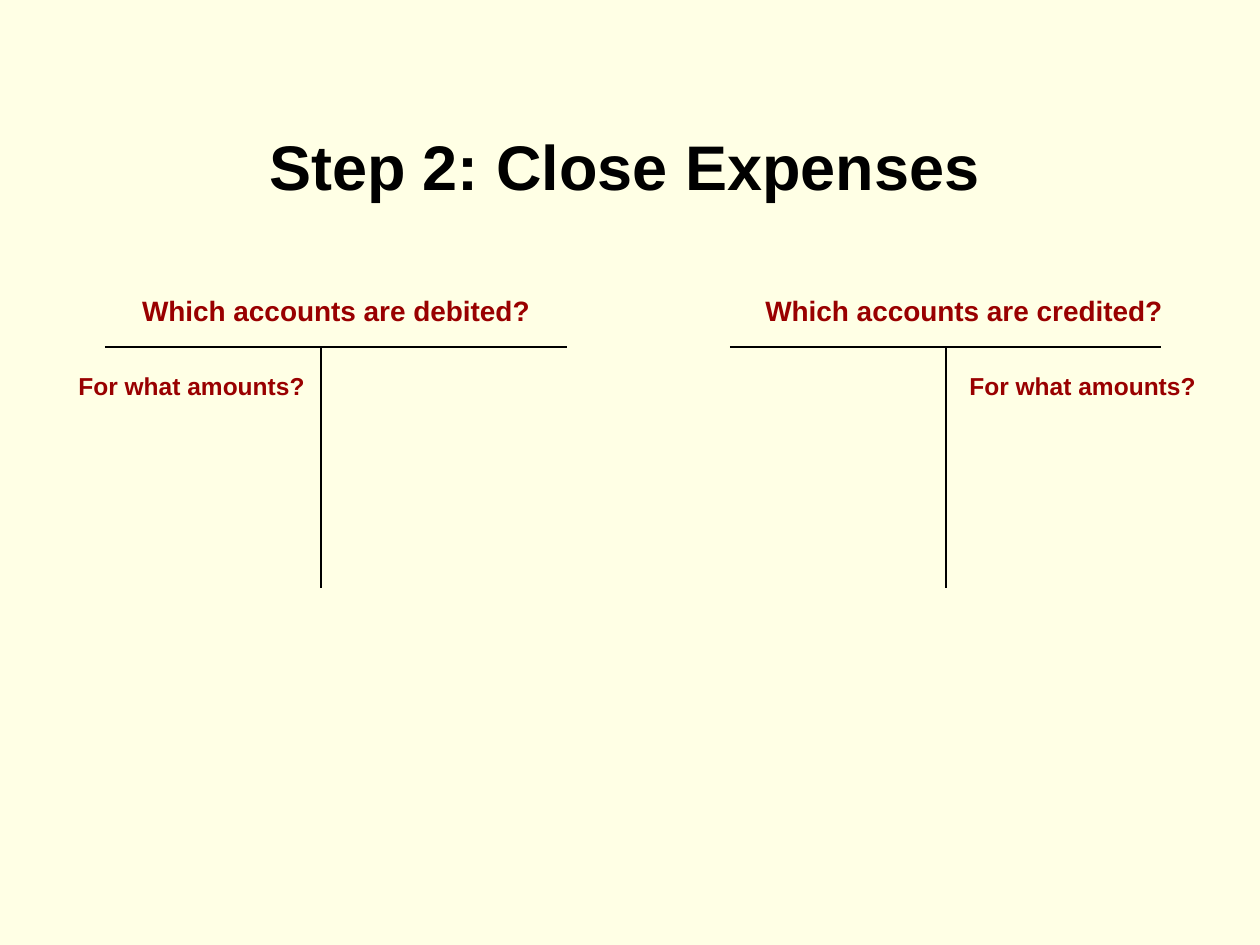
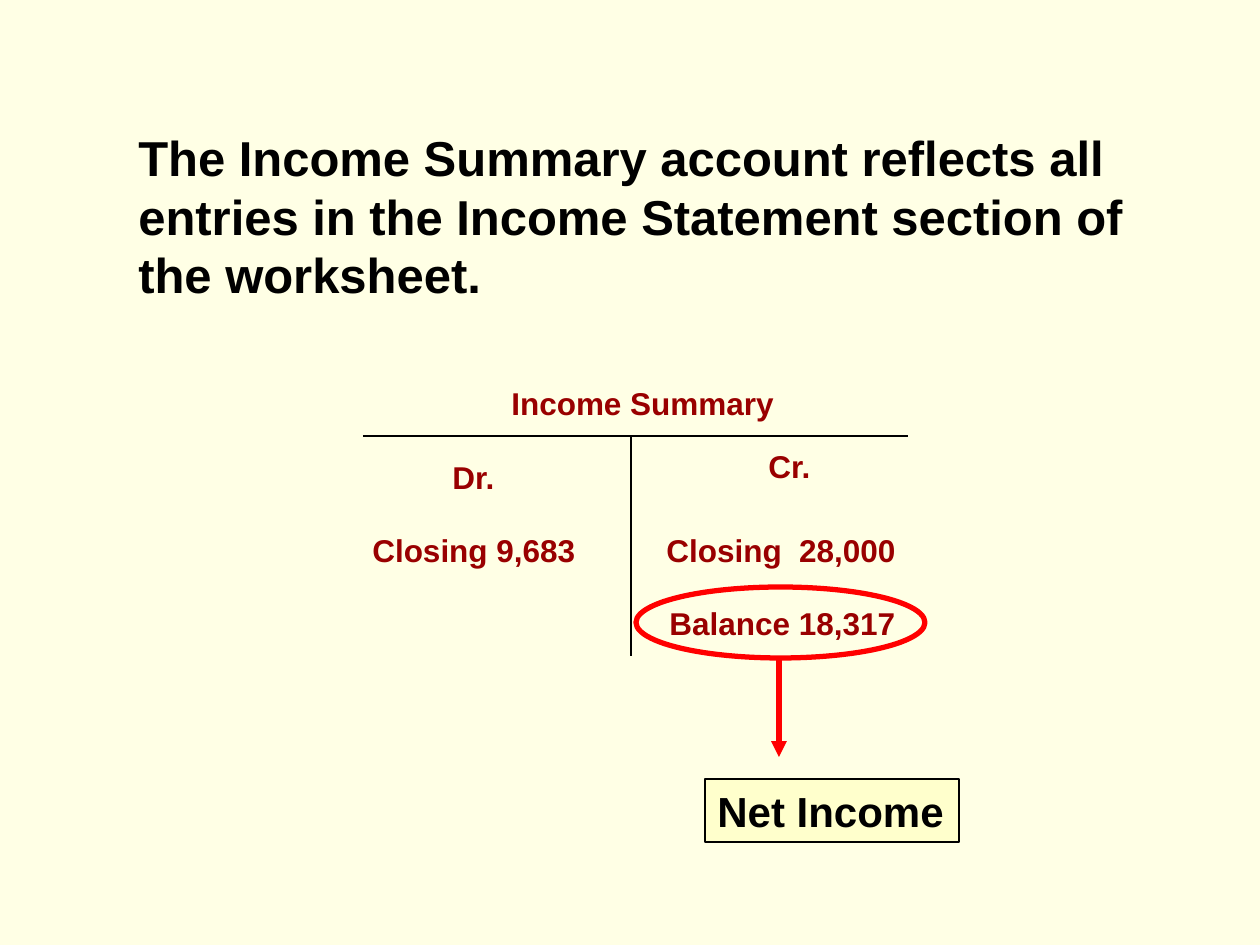
from lxml.etree import SubElement
from pptx import Presentation
from pptx.dml.color import RGBColor
from pptx.enum.shapes import MSO_CONNECTOR, MSO_SHAPE
from pptx.enum.text import MSO_ANCHOR, PP_ALIGN
from pptx.oxml.ns import qn
from pptx.util import Emu, Pt

CREAM = RGBColor(0xFF, 0xFF, 0xE5)
PALE_YELLOW = RGBColor(0xFF, 0xFF, 0xCC)
DARK_RED = RGBColor(0x99, 0x00, 0x00)
RED = RGBColor(0xFF, 0x00, 0x00)
BLACK = RGBColor(0x00, 0x00, 0x00)
PX = 914400 / 126


def write(box, words, size, color, align=PP_ALIGN.LEFT):
    """Put one bold paragraph at the top of a box."""
    frame = box.text_frame
    frame.word_wrap = True
    frame.vertical_anchor = MSO_ANCHOR.TOP
    para = frame.paragraphs[0]
    para.alignment = align
    span = para.add_run()
    span.text = words
    span.font.name = "Arial"
    span.font.size = Pt(size)
    span.font.bold = True
    span.font.color.rgb = color


def draw_line(page, x1, y1, x2, y2, color=BLACK, width=0.75):
    ends = [Emu(round(n * PX)) for n in (x1, y1, x2, y2)]
    line = page.shapes.add_connector(MSO_CONNECTOR.STRAIGHT, *ends)
    line.line.color.rgb = color
    line.line.width = Pt(width)
    SubElement(line._element.spPr, qn("a:effectLst"))
    return line


deck = Presentation()
deck.slide_width = Emu(round(1260 * PX))
deck.slide_height = Emu(round(945 * PX))
background = deck.slide_master.background.fill
background.solid()
background.fore_color.rgb = CREAM
closing_page, summary_page = [deck.slides.add_slide(deck.slide_layouts[6]) for _ in range(2)]

# T-accounts: page, left, right, stem, top, bottom
t_accounts = [
    (closing_page, 105, 567, 321, 347, 588),
    (closing_page, 730, 1161, 946, 347, 588),
    (summary_page, 363, 908, 631, 436, 656),
]
for page, left, right, stem, top, bottom in t_accounts:
    draw_line(page, left, top, right, top)
    draw_line(page, stem, top, stem, bottom)

# Text boxes: page, words, (left, top, width, height), size, color, alignment
statement = "The Income Summary account reflects all entries in the Income Statement section of the worksheet."
texts = [
    (closing_page, "Step 2: Close Expenses", (220, 121, 809, 88), 36, BLACK, PP_ALIGN.CENTER),
    (closing_page, "Which accounts are debited?", (105, 287, 462, 45), 16, DARK_RED, PP_ALIGN.CENTER),
    (closing_page, "Which accounts are credited?", (733, 287, 462, 45), 16, DARK_RED, PP_ALIGN.CENTER),
    (closing_page, "For what amounts?", (66, 365, 254, 43), 14, DARK_RED, PP_ALIGN.LEFT),
    (closing_page, "For what amounts?", (957, 365, 254, 43), 14, DARK_RED, PP_ALIGN.LEFT),
    (summary_page, statement, (126, 121, 1071, 158), 28, BLACK, PP_ALIGN.LEFT),
    (summary_page, "Income Summary", (499, 378, 300, 50), 18, DARK_RED, PP_ALIGN.LEFT),
    (summary_page, "Dr.", (440, 452, 83, 50), 18, DARK_RED, PP_ALIGN.LEFT),
    (summary_page, "Closing 9,683", (360, 525, 240, 50), 18, DARK_RED, PP_ALIGN.LEFT),
    (summary_page, "Cr.", (756, 441, 83, 50), 18, DARK_RED, PP_ALIGN.LEFT),
    (summary_page, "Closing  28,000", (654, 525, 270, 50), 18, DARK_RED, PP_ALIGN.LEFT),
    (summary_page, "Balance 18,317", (657, 598, 270, 50), 18, DARK_RED, PP_ALIGN.LEFT),
]
for page, words, place, size, color, align in texts:
    box = page.shapes.add_textbox(*[Emu(round(n * PX)) for n in place])
    write(box, words, size, color, align)

balance_place = [Emu(round(n * PX)) for n in (636, 587, 289, 71)]
balance_ring = summary_page.shapes.add_shape(MSO_SHAPE.OVAL, *balance_place)
balance_ring.shadow.inherit = False
balance_ring.fill.background()
balance_ring.line.color.rgb = RED
balance_ring.line.width = Pt(3)

income_place = [Emu(round(n * PX)) for n in (705, 779, 254, 63)]
net_income = summary_page.shapes.add_shape(MSO_SHAPE.RECTANGLE, *income_place)
net_income.shadow.inherit = False
net_income.fill.solid()
net_income.fill.fore_color.rgb = PALE_YELLOW
net_income.line.color.rgb = BLACK
net_income.line.width = Pt(0.75)
write(net_income, "Net Income", 24, BLACK)

arrow = draw_line(summary_page, 779, 657, 779, 757, RED, 3)
SubElement(arrow.line._get_or_add_ln(), qn("a:tailEnd"), type="triangle")

deck.save("out.pptx")
